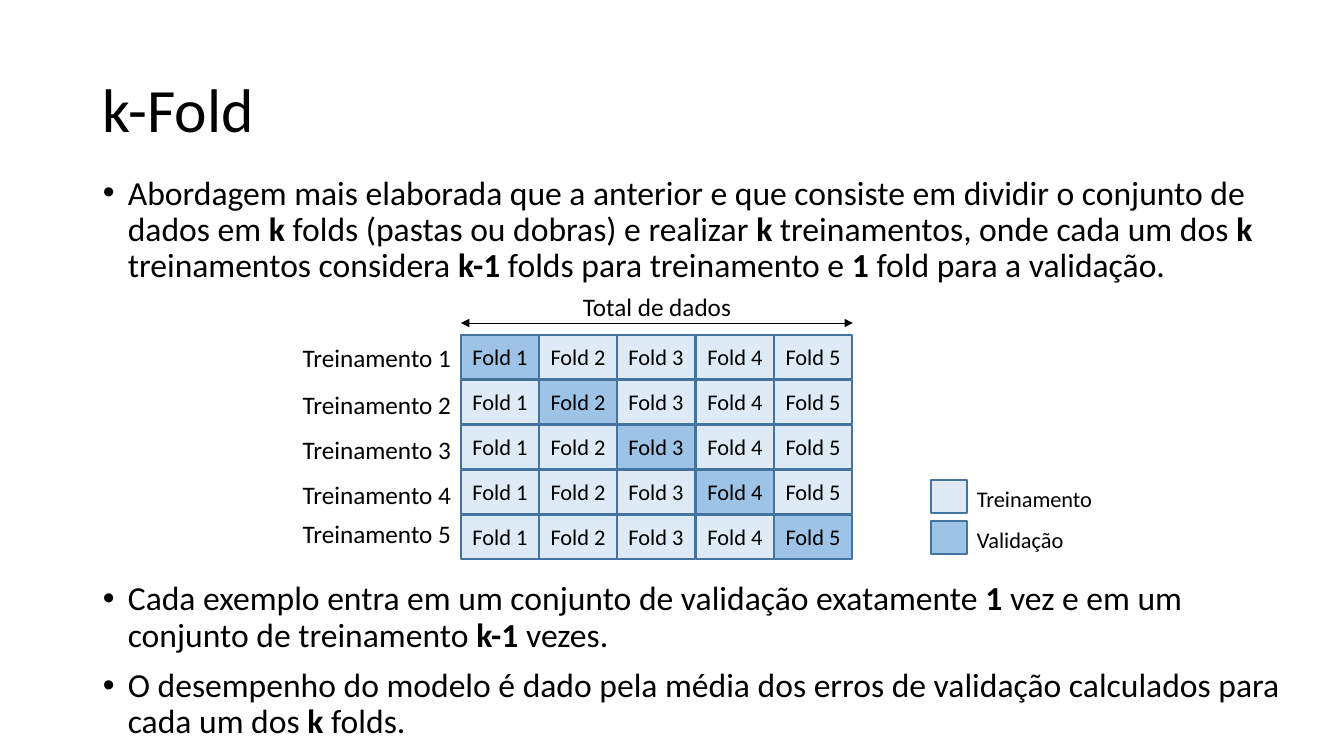
from dataclasses import dataclass

from lxml import etree
from pptx import Presentation
from pptx import util as u
from pptx.dml.color import RGBColor
from pptx.enum import shapes, text
from pptx.oxml import ns

SCALE = 12192000 / 1344
FOLDS = 5


@dataclass(frozen=True)
class Theme:
    """Colours, font and type sizes of the slide."""
    ink: str = "000000"
    edge: str = "43739E"
    training: str = "DEEBF7"
    validation: str = "9DC3E6"
    face: str = "Calibri"
    title: int = 44
    body: int = 24
    label: int = 18
    cell: int = 16


THEME = Theme()


def px(length):
    """Turn px into EMU."""
    return u.Emu(round(length * SCALE))


def colour(code):
    """Turn a hex code into a colour."""
    return RGBColor.from_string(code)


def apply(target, formats):
    """Set every format value on the target."""
    for key, value in formats.items():
        setattr(target, key, value)


def add_words(paragraph, words, size):
    """Write words, with the parts between asterisks in bold."""
    for index, part in enumerate(words.split("*")):
        run = paragraph.add_run()
        run.text = part
        apply(run.font, {"name": THEME.face, "size": u.Pt(size), "bold": index % 2 == 1})
        run.font.color.rgb = colour(THEME.ink)


def add_label(slide, box, words, size, align=text.PP_ALIGN.LEFT, **frame_formats):
    """Add a one-paragraph text box."""
    frame = slide.shapes.add_textbox(*map(px, box)).text_frame
    apply(frame, frame_formats)
    paragraph = frame.paragraphs[0]
    paragraph.alignment = align
    add_words(paragraph, words, size)
    return paragraph


def add_bullets(slide, box, points):
    """Add a text box of bulleted points."""
    frame = slide.shapes.add_textbox(*map(px, box)).text_frame
    frame.word_wrap = True
    for index, point in enumerate(points):
        paragraph = frame.add_paragraph() if index else frame.paragraphs[0]
        properties = paragraph._p.get_or_add_pPr()
        properties.set("marL", str(px(25)))
        properties.set("indent", str(-px(25)))
        etree.SubElement(properties, ns.qn("a:buFont")).set("typeface", "Arial")
        etree.SubElement(properties, ns.qn("a:buChar")).set("char", "•")
        apply(paragraph, {"line_spacing": 0.9, "space_before": u.Pt(10 if index else 0)})
        add_words(paragraph, point, THEME.body)


def add_block(slide, box, fill, words=""):
    """Add an outlined rectangle, with centred words if given."""
    block = slide.shapes.add_shape(shapes.MSO_SHAPE.RECTANGLE, *map(px, box))
    block.shadow.inherit = False
    block.fill.solid()
    block.fill.fore_color.rgb = colour(fill)
    block.line.color.rgb = colour(THEME.edge)
    block.line.width = u.Pt(1)
    if words:
        frame = block.text_frame
        apply(frame, {"vertical_anchor": text.MSO_ANCHOR.MIDDLE, "word_wrap": True,
                      "margin_left": 0, "margin_right": 0})
        frame.paragraphs[0].alignment = text.PP_ALIGN.CENTER
        add_words(frame.paragraphs[0], words, THEME.cell)


def add_span_arrow(slide, left, right, y):
    """Add a horizontal double-headed arrow."""
    span = slide.shapes.add_connector(
        shapes.MSO_CONNECTOR.STRAIGHT, px(left), px(y), px(right), px(y))
    span.line.color.rgb = colour(THEME.ink)
    span.line.width = u.Pt(0.5)
    outline = span.line._get_or_add_ln()
    for end in ("a:headEnd", "a:tailEnd"):
        etree.SubElement(outline, ns.qn(end)).set("type", "triangle")
    etree.SubElement(span._element.spPr, ns.qn("a:effectLst"))


def add_fold_grid(slide, left, top, width, row_pitch):
    """Add the folds of each training, with validation on the diagonal."""
    for training in range(FOLDS):
        for fold in range(FOLDS):
            box = (left + width * fold // FOLDS, top + row_pitch * training, 78, 44)
            fill = THEME.validation if fold == training else THEME.training
            add_block(slide, box, fill, f"Fold {fold + 1}")


def add_legend(slide, left, top, pitch):
    """Add the key to the two fills."""
    entries = (("Treinamento", THEME.training, 144), ("Validação", THEME.validation, 109))
    for row, (meaning, fill, width) in enumerate(entries):
        y = top + pitch * row
        add_block(slide, (left, y, 36, 33), fill)
        add_label(slide, (left + 36, y, width, 37), meaning, THEME.cell, word_wrap=False)


def main():
    """Build and save the k-Fold slide."""
    deck = Presentation()
    apply(deck, {"slide_width": px(1344), "slide_height": px(756)})
    slide = deck.slides.add_slide(deck.slide_layouts[6])

    heading = add_label(slide, (93, 40, 1159, 146), "k-Fold", THEME.title,
                        word_wrap=True, vertical_anchor=text.MSO_ANCHOR.MIDDLE)
    heading.line_spacing = 0.9
    add_bullets(slide, (93, 171, 1218, 118), [
        "Abordagem mais elaborada que a anterior e que consiste em dividir o conjunto de "
        "dados em *k* folds (pastas ou dobras) e realizar *k* treinamentos, onde cada um "
        "dos *k* treinamentos considera *k-1* folds para treinamento e *1* fold para a "
        "validação."])

    left, width = 461, 392
    add_label(slide, (left, 286, width, 40), "Total de dados", THEME.label,
              text.PP_ALIGN.CENTER, word_wrap=True)
    add_span_arrow(slide, left, left + width, 323)
    add_fold_grid(slide, left, 335, width, 45)
    for number, top in enumerate((337, 384, 429, 474, 513), start=1):
        add_label(slide, (291, top, 170, 40), f"Treinamento {number}", THEME.label,
                  text.PP_ALIGN.RIGHT, word_wrap=False)
    add_legend(slide, 931, 480, 41)

    add_bullets(slide, (93, 577, 1218, 118), [
        "Cada exemplo entra em um conjunto de validação exatamente *1* vez e em um "
        "conjunto de treinamento *k-1* vezes.",
        "O desempenho do modelo é dado pela média dos erros de validação calculados para "
        "cada um dos *k* folds."])
    deck.save("out.pptx")


if __name__ == "__main__":
    main()
